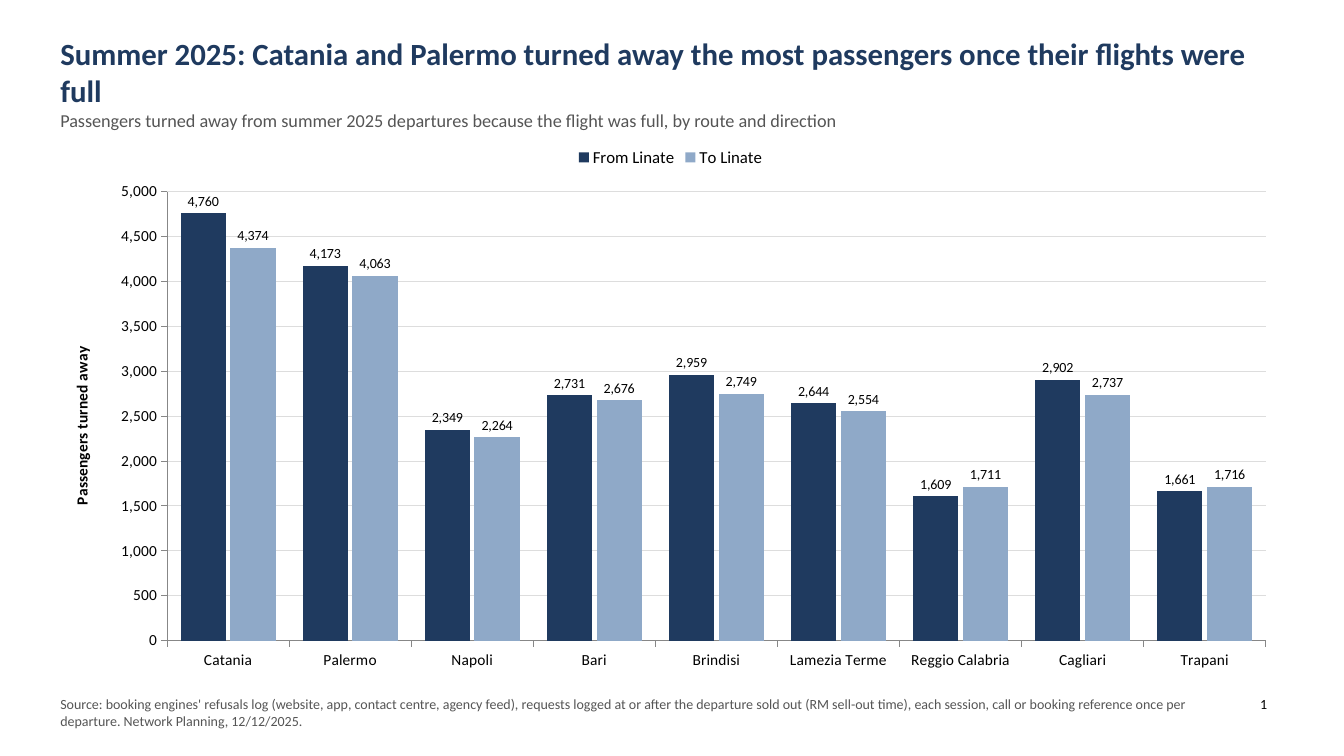
from pptx import Presentation, util as u
from pptx.chart.data import CategoryChartData
from pptx.dml.color import RGBColor
from pptx.enum import chart as ch, text as t

# Content
COLORS = {"navy": "1F3A5F", "sky": "8FA9C8", "gray": "555555",
          "black": "000000", "grid": "DDDDDD"}
FONT = "Calibri"
NUMBER_FORMAT = "#,##0"

# Each text: box in px, wrap, lines of (wording, size, color, bold)
TEXTS = [
    ((50, 30, 1230, 90), True, [
        ("Summer 2025: Catania and Palermo turned away the most passengers "
         "once their flights were full", 22, "navy", True),
        ("Passengers turned away from summer 2025 departures because the "
         "flight was full, by route and direction", 13, "gray", False)]),
    ((50, 685, 1160, 40), True, [
        ("Source: booking engines' refusals log (website, app, contact centre, "
         "agency feed), requests logged at or after the departure sold out "
         "(RM sell-out time), each session, call or booking reference once per "
         "departure. Network Planning, 12/12/2025.", 10, "gray", False)]),
    ((1240, 685, 50, 40), False, [("1", 10, "black", False)]),
]

CHART_BOX = (50, 135, 1230, 540)
AXIS_TITLE = "Passengers turned away"
ROUTES = ["Catania", "Palermo", "Napoli", "Bari", "Brindisi", "Lamezia Terme",
          "Reggio Calabria", "Cagliari", "Trapani"]
DIRECTIONS = [
    ("From Linate", "navy", [4760, 4173, 2349, 2731, 2959, 2644, 1609, 2902, 1661]),
    ("To Linate", "sky", [4374, 4063, 2264, 2676, 2749, 2554, 1711, 2737, 1716]),
]


def px(value):
    return u.Emu(value * 9144)


def rgb(name):
    return RGBColor.from_string(COLORS[name])


def style_font(font, size, color="black", bold=False):
    font.name = FONT
    font.size = u.Pt(size)
    font.bold = bold
    font.color.rgb = rgb(color)


def add_text(page, place, wrap, lines):
    frame = page.shapes.add_textbox(*map(px, place)).text_frame
    frame.word_wrap = wrap
    frame.auto_size = t.MSO_AUTO_SIZE.SHAPE_TO_FIT_TEXT
    frame.text = "\n".join(line[0] for line in lines)
    for para, (_, size, color, bold) in zip(frame.paragraphs, lines):
        style_font(para.runs[0].font, size, color, bold)


def add_refusals_chart(page):
    data = CategoryChartData(number_format=NUMBER_FORMAT)
    data.categories = ROUTES
    for name, _, values in DIRECTIONS:
        data.add_series(name, values)
    chart = page.shapes.add_chart(
        ch.XL_CHART_TYPE.COLUMN_CLUSTERED, *map(px, CHART_BOX), data).chart
    style_font(chart.font, 18)
    chart.has_title = False

    # Legend
    chart.has_legend = True
    chart.legend.position = ch.XL_LEGEND_POSITION.TOP
    chart.legend.include_in_layout = False
    style_font(chart.legend.font, 12)

    # Axes
    for axis in (chart.category_axis, chart.value_axis):
        axis.major_tick_mark = ch.XL_TICK_MARK.OUTSIDE
        axis.minor_tick_mark = ch.XL_TICK_MARK.NONE
        style_font(axis.tick_labels.font, 11)
    scale = chart.value_axis
    scale.minimum_scale, scale.maximum_scale, scale.major_unit = 0, 5000, 500
    scale.tick_labels.number_format = NUMBER_FORMAT
    scale.tick_labels.number_format_is_linked = False
    scale.major_gridlines.format.line.color.rgb = rgb("grid")
    scale.major_gridlines.format.line.width = u.Pt(0.75)
    title = scale.axis_title.text_frame
    title.text = AXIS_TITLE
    style_font(title.paragraphs[0].runs[0].font, 11, bold=True)

    # Columns and their labels
    plot = chart.plots[0]
    plot.vary_by_categories = False
    plot.gap_width, plot.overlap = 60, -10
    for series, (_, color, _) in zip(plot.series, DIRECTIONS):
        series.format.fill.solid()
        series.format.fill.fore_color.rgb = rgb(color)
        labels = series.data_labels
        labels.show_value = True
        labels.position = ch.XL_LABEL_POSITION.OUTSIDE_END
        labels.number_format = NUMBER_FORMAT
        labels.number_format_is_linked = False
        style_font(labels.font, 10)


def main():
    deck = Presentation()
    deck.slide_width, deck.slide_height = px(1333), px(750)
    page = deck.slides.add_slide(deck.slide_layouts[6])
    add_refusals_chart(page)
    for place, wrap, lines in TEXTS:
        add_text(page, place, wrap, lines)
    deck.save("out.pptx")


if __name__ == "__main__":
    main()
